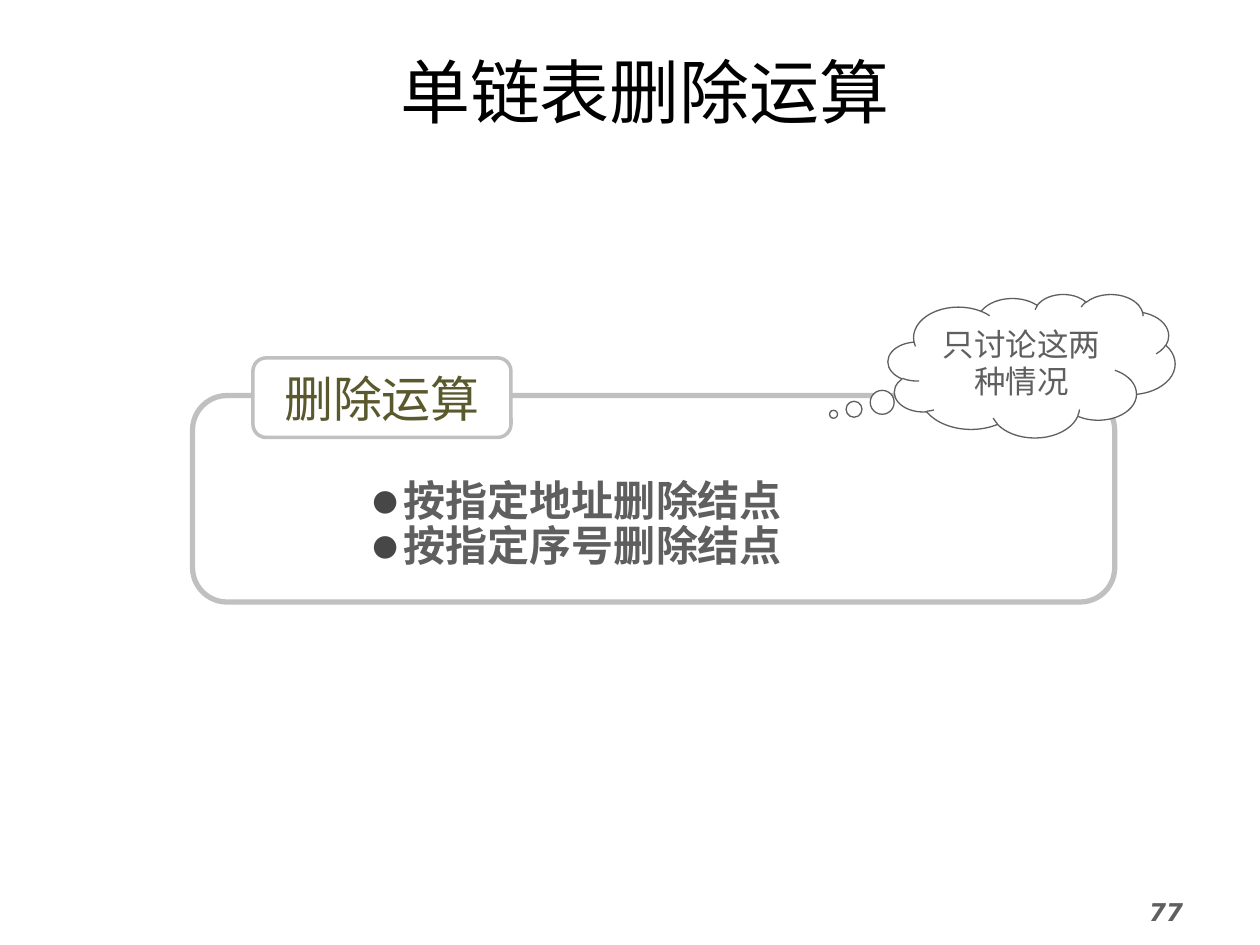
"""Build the slide on deleting from a singly linked list."""
from lxml.etree import SubElement
from pptx import Presentation
from pptx.dml.color import RGBColor
from pptx.enum.shapes import MSO_SHAPE as Preset
from pptx.enum.text import MSO_ANCHOR as Anchor, PP_ALIGN as Align
from pptx.oxml.ns import qn
from pptx.util import Pt

MONO, SANS, CJK = "DejaVu Sans Mono", "DejaVu Sans", "Noto Sans CJK SC"
GRAY, SILVER, WHITE = "5F5F5F", "C0C0C0", "FFFFFF"

TITLE = "单链表删除运算"
TITLE_FONT = {"name": MONO, "size": Pt(40), "color": "000000"}
NUMBER = "77"
NUMBER_FONT = {"name": SANS, "size": Pt(14), "color": GRAY, "bold": True, "italic": True}
BULLET_FONT = {"name": MONO, "size": Pt(24), "color": GRAY, "bold": True}
LABEL_FONT = {"name": CJK, "size": Pt(28), "color": "5A592D"}
CLOUD_FONT = {"name": CJK, "size": Pt(18), "color": GRAY}

OPERATIONS = {
    "preset": Preset.ROUNDED_RECTANGLE, "box": (110, 226, 527, 118), "adjust": (0.167,),
    "fill": None, "line": (SILVER, 3), "font": BULLET_FONT, "align": Align.LEFT,
    "lines": ["按指定地址删除结点", "按指定序号删除结点"],
    "frame": {"margin_top": Pt(34), "word_wrap": True},
}
LABEL = {
    "preset": Preset.ROUNDED_RECTANGLE, "box": (144.5, 204.5, 147.5, 45.5), "adjust": (0.167,),
    "fill": WHITE, "line": (SILVER, 2), "font": LABEL_FONT, "align": Align.CENTER,
    "lines": ["删除运算"], "frame": {"word_wrap": False},
}
CLOUD = {
    "preset": Preset.CLOUD_CALLOUT, "box": (507.5, 168, 164, 82), "adjust": (-0.69, 0.338),
    "fill": WHITE, "line": (GRAY, 0.75), "font": CLOUD_FONT, "align": Align.CENTER,
    "lines": ["只讨论这两种情况"], "frame": {"word_wrap": True},
}


def color(value):
    return RGBColor.from_string(value)


def points(box):
    return [Pt(value) for value in box]


def write(paragraph, text, font, align):
    paragraph.alignment = align
    run = paragraph.add_run()
    run.text = text
    for name, value in font.items():
        if name == "color":
            run.font.color.rgb = color(value)
        else:
            setattr(run.font, name, value)
    SubElement(run.font._element, qn("a:ea"), typeface=CJK)


def add_bullet(paragraph):
    paragraph.line_spacing = 0.9
    properties = paragraph._p.get_or_add_pPr()
    properties.set("marL", str(Pt(108)))
    properties.set("indent", str(Pt(-18)))
    bullet_color = SubElement(properties, qn("a:buClr"))
    SubElement(bullet_color, qn("a:srgbClr"), val="474747")
    SubElement(properties, qn("a:buSzPct"), val="70000")
    SubElement(properties, qn("a:buFont"), typeface=SANS)
    SubElement(properties, qn("a:buChar"), char="●")


def add_panel(slide, panel):
    shape = slide.shapes.add_shape(panel["preset"], *points(panel["box"]))
    shape.shadow.inherit = False
    for index, value in enumerate(panel["adjust"]):
        shape.adjustments[index] = value
    if panel["fill"]:
        shape.fill.solid()
        shape.fill.fore_color.rgb = color(panel["fill"])
    else:
        shape.fill.background()
    line_color, width = panel["line"]
    shape.line.color.rgb = color(line_color)
    shape.line.width = Pt(width)
    frame = shape.text_frame
    frame.vertical_anchor = Anchor.MIDDLE
    for name, value in panel["frame"].items():
        setattr(frame, name, value)
    for index, text in enumerate(panel["lines"]):
        paragraph = frame.add_paragraph() if index else frame.paragraphs[0]
        if panel is OPERATIONS:
            add_bullet(paragraph)
        write(paragraph, text, panel["font"], panel["align"])


def main():
    presentation = Presentation()
    presentation.slide_width, presentation.slide_height = Pt(720), Pt(540)
    slide = presentation.slides.add_slide(presentation.slide_layouts[5])

    title = slide.shapes.title
    title.left, title.top, title.width, title.height = points((25, 24, 687, 55.5))
    title.text_frame.vertical_anchor = Anchor.MIDDLE
    write(title.text_frame.paragraphs[0], TITLE, TITLE_FONT, Align.CENTER)

    number = slide.shapes.add_textbox(*points((649.5, 509, 70.5, 31)))
    number.text_frame.word_wrap = True
    write(number.text_frame.paragraphs[0], NUMBER, NUMBER_FONT, Align.LEFT)

    for panel in (OPERATIONS, LABEL, CLOUD):
        add_panel(slide, panel)
    presentation.save("out.pptx")


if __name__ == "__main__":
    main()
